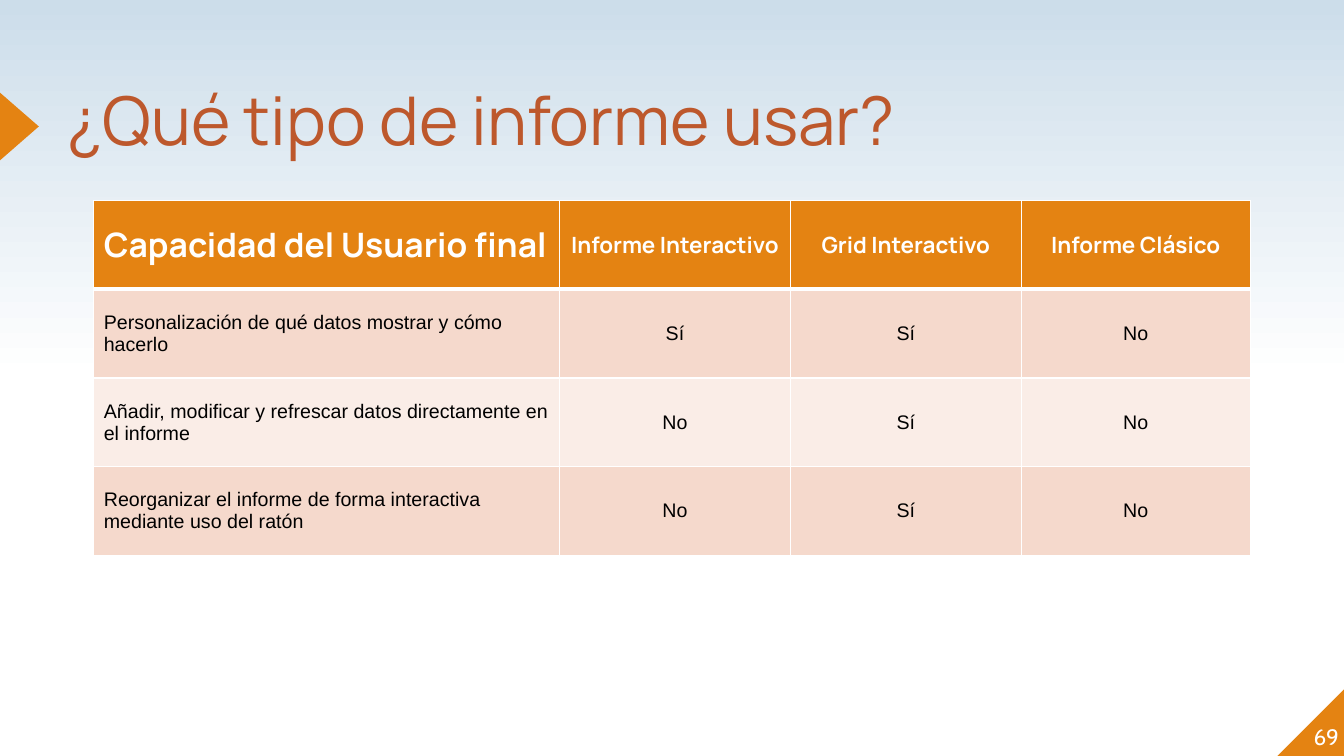
import copy
from dataclasses import dataclass

import pptx
import pptx.dml.color
import pptx.enum.shapes
import pptx.enum.text
import pptx.oxml
import pptx.oxml.ns
import pptx.util

Inches = pptx.util.Inches
qn = pptx.oxml.ns.qn
SHAPE = pptx.enum.shapes.MSO_SHAPE
ALIGN = pptx.enum.text.PP_ALIGN
ANCHOR = pptx.enum.text.MSO_ANCHOR


def rgb(value):
    return pptx.dml.color.RGBColor.from_string(value)


@dataclass(frozen=True)
class Theme:
    accent: str = "E48312"
    title: str = "BD582C"
    white: str = "FFFFFF"
    black: str = "000000"
    sky: str = "CCDDEA"
    bands: tuple = ("F5D9CC", "FAEDE7")
    heading_font: str = "Manrope"
    body_font: str = "Arial"
    number_font: str = "Cabin"
    title_size: int = 48
    first_header_size: int = 24
    header_size: int = 16
    body_size: int = 14
    number_size: int = 16


class SlideBuilder:
    def __init__(self, slide, theme):
        self.slide = slide
        self.theme = theme

    def background(self):
        """White lower half, fading to sky blue at the top edge."""
        fill = self.slide.background.fill
        fill.gradient()
        fill.gradient_angle = 90
        for stop, color in zip(fill.gradient_stops, (self.theme.white, self.theme.sky)):
            stop.color.rgb = rgb(color)
        stops = self.slide.element.find(".//" + qn("a:gsLst"))
        middle = copy.deepcopy(stops[0])
        middle.set("pos", "50000")
        stops.insert(1, middle)

    def ornament(self, kind, box, rotation=0, flip=False):
        shape = self.slide.shapes.add_shape(kind, *map(Inches, box))
        shape.shadow.inherit = False
        shape.fill.solid()
        shape.fill.fore_color.rgb = rgb(self.theme.accent)
        shape.line.fill.background()
        shape.rotation = rotation
        if flip:
            shape.element.spPr.find(qn("a:xfrm")).set("flipH", "1")

    def add_text_run(self, paragraph, text, color, align=ALIGN.LEFT, **font_format):
        paragraph.alignment = align
        run = paragraph.add_run()
        run.text = text
        for name, value in font_format.items():
            setattr(run.font, name, value)
        run.font.color.rgb = rgb(color)

    def text(self, box, text, anchor, line_spacing=1.0, **text_format):
        frame = self.slide.shapes.add_textbox(*map(Inches, box)).text_frame
        frame_format = dict(word_wrap=True, vertical_anchor=anchor, margin_left=0,
                            margin_top=0, margin_right=0, margin_bottom=0)
        for name, value in frame_format.items():
            setattr(frame, name, value)
        frame.paragraphs[0].line_spacing = line_spacing
        self.add_text_run(frame.paragraphs[0], text, **text_format)

    def borders(self, cell, widths):
        """Draw white cell borders; widths maps a side (L, R, T, B) to points."""
        properties = cell._tc.get_or_add_tcPr()
        for index, (side, width) in enumerate(widths.items()):
            properties.insert(index, pptx.oxml.parse_xml(
                f'<a:ln{side} xmlns:a="http://schemas.openxmlformats.org/drawingml/2006/main"'
                f' w="{pptx.util.Pt(width)}"><a:solidFill>'
                f'<a:srgbClr val="{self.theme.white}"/></a:solidFill></a:ln{side}>'))

    def cell_format(self, row, column):
        """Return the text format of a cell from its place in the table."""
        theme = self.theme
        align = ALIGN.CENTER if column else ALIGN.LEFT
        if row:
            return dict(color=theme.black, name=theme.body_font, bold=False,
                        size=pptx.util.Pt(theme.body_size), align=align)
        size = theme.header_size if column else theme.first_header_size
        return dict(color=theme.white, name=theme.heading_font, bold=True,
                    size=pptx.util.Pt(size), align=align)

    def table(self, left, top, widths, row_height, rows):
        table = self.slide.shapes.add_table(
            len(rows), len(widths), Inches(left), Inches(top),
            Inches(sum(widths)), Inches(row_height * len(rows))).table
        for column, width in zip(table.columns, widths):
            column.width = Inches(width)
        for r, values in enumerate(rows):
            table.rows[r].height = Inches(row_height)
            fill = self.theme.bands[(r - 1) % 2] if r else self.theme.accent
            for c, value in enumerate(values):
                cell = table.cell(r, c)
                cell.vertical_anchor = ANCHOR.MIDDLE
                cell.fill.solid()
                cell.fill.fore_color.rgb = rgb(fill)
                self.borders(cell, {"L": 1, "R": 1, "T": 3 if r == 1 else 1,
                                    "B": 1 if r else 3})
                self.add_text_run(cell.text_frame.paragraphs[0], value,
                                  **self.cell_format(r, c))


REPORT_CAPABILITIES = [
    ["Capacidad del Usuario final", "Informe Interactivo", "Grid Interactivo", "Informe Clásico"],
    ["Personalización de qué datos mostrar y cómo hacerlo", "Sí", "Sí", "No"],
    ["Añadir, modificar y refrescar datos directamente en el informe", "No", "Sí", "No"],
    ["Reorganizar el informe de forma interactiva mediante uso del ratón", "No", "Sí", "No"],
]


def main():
    presentation = pptx.Presentation()
    presentation.slide_width = Inches(13.33)
    presentation.slide_height = Inches(7.5)
    theme = Theme()
    builder = SlideBuilder(
        presentation.slides.add_slide(presentation.slide_layouts[6]), theme)

    builder.background()
    builder.ornament(SHAPE.RIGHT_TRIANGLE, (12.67, 6.82, 0.68, 0.68), flip=True)
    builder.ornament(SHAPE.ISOSCELES_TRIANGLE, (-0.15, 1.06, 0.68, 0.39), rotation=90)
    builder.text((0.67, 0.79, 12, 0.93), "¿Qué tipo de informe usar?", ANCHOR.MIDDLE,
                 line_spacing=0.8, color=theme.title, name=theme.heading_font,
                 size=pptx.util.Pt(theme.title_size))
    builder.text((12.61, 6.76, 0.67, 0.68), "69", ANCHOR.BOTTOM, align=ALIGN.RIGHT,
                 color=theme.white, name=theme.number_font,
                 size=pptx.util.Pt(theme.number_size))
    builder.table(0.93, 1.99, (4.62, 2.29, 2.29, 2.27), 0.88, REPORT_CAPABILITIES)

    presentation.save("out.pptx")


if __name__ == "__main__":
    main()
